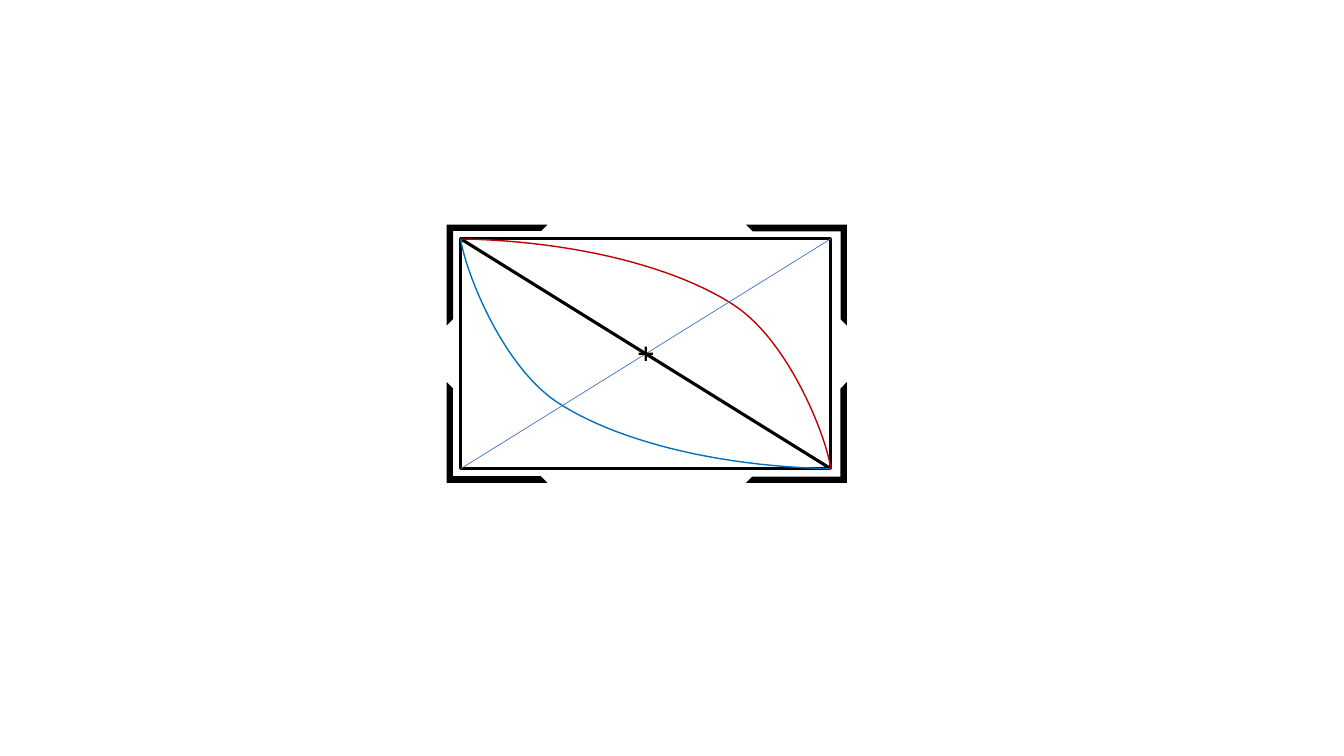
from lxml import etree
from pptx import Presentation, util as u
from pptx.dml.color import RGBColor
from pptx.enum import shapes as sh
from pptx.oxml.ns import qn

INK = {"black": "000000", "blue": "0070C0", "red": "C00000", "thin": "4472C4"}
KIND = sh.MSO_SHAPE
STEPS = 24  # segments for each Bezier arc

# Bowed curve from corner to corner, in shares of the frame
BOW = [(1, 1), (.68, .99), (.41, .87), (.26, .71), (.11, .55), (.01, .13), (0, 0)]


def stroke(item, color, width):
    item.line.color.rgb = RGBColor.from_string(INK[color])
    item.line.width = u.Pt(width)


def shape(slide, kind, x, y, w, h, adj=(), fill=None):
    item = slide.shapes.add_shape(kind, *map(u.Inches, (x, y, w, h)))
    item.shadow.inherit = False
    for i, value in enumerate(adj):
        item.adjustments[i] = value
    if fill:
        item.fill.solid()
        item.fill.fore_color.rgb = RGBColor.from_string(INK[fill])
        item.line.fill.background()
    else:
        item.fill.background()
    return item


def line(slide, start, end, color, width):
    item = slide.shapes.add_connector(
        sh.MSO_CONNECTOR.STRAIGHT, *map(u.Inches, (*start, *end)))
    etree.SubElement(item._element.spPr, qn("a:effectLst"))
    stroke(item, color, width)


def bezier(a, b, c, d, t):
    s = 1 - t
    return tuple(s**3 * p + 3 * s * s * t * q + 3 * s * t * t * r + t**3 * v
                 for p, q, r, v in zip(a, b, c, d))


def curve(slide, box, knots, color):
    x, y, w, h = box
    dots = [knots[0]]
    for k in (0, 3):
        dots += [bezier(*knots[k:k + 4], n / STEPS) for n in range(1, STEPS + 1)]
    dots = [(u.Inches(x + w * p), u.Inches(y + h * q)) for p, q in dots]
    pen = slide.shapes.build_freeform(*dots[0])
    pen.add_line_segments(dots[1:], close=False)
    item = pen.convert_to_shape()
    item.shadow.inherit = False
    item.fill.background()
    stroke(item, color, 1)


def graph(slide, box):
    x, y, w, h = box
    # Frame and main diagonal
    stroke(shape(slide, KIND.RECTANGLE, *box), "black", 2.25)
    line(slide, (x, y), (x + w, y + h), "black", 2.25)
    # Mirrored curves
    curve(slide, box, BOW, "blue")
    curve(slide, box, [(1 - p, 1 - q) for p, q in BOW], "red")


def corners(slide, box, size=1):
    x, y, w, h = box
    right, low = x + w - size, y + h - size
    for left, top, turn in ((x, y, 0), (right, low, 180), (x, low, 270), (right, y, 90)):
        item = shape(slide, KIND.HALF_FRAME, left, top, size, size, (.062, .066), "black")
        item.rotation = turn


def center(slide, box, size=.14):
    x, y, w, h = box
    line(slide, (x + w, y), (x, y + h), "thin", .5)
    shape(slide, KIND.CROSS, x + (w - size) / 2, y + (h - size) / 2,
          size, size, (.416,), "black")


def main():
    deck = Presentation()
    deck.slide_width, deck.slide_height = u.Inches(13.33), u.Inches(7.5)
    slide = deck.slides.add_slide(deck.slide_layouts[6])
    frame = (4.57, 2.37, 3.67, 2.28)
    graph(slide, frame)
    corners(slide, (4.43, 2.23, 3.97, 2.56))
    center(slide, frame)
    deck.save("out.pptx")


if __name__ == "__main__":
    main()
